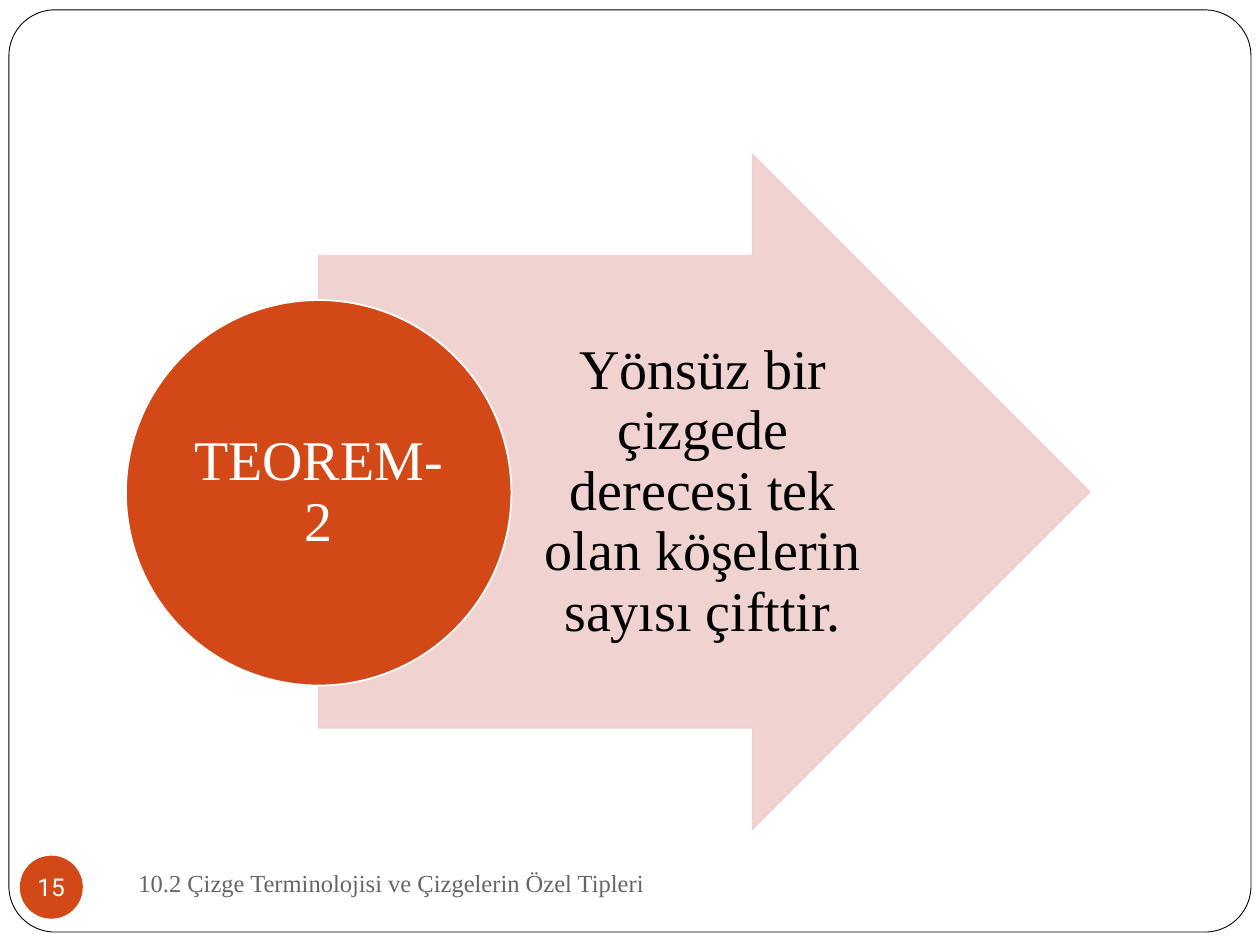
from lxml.etree import SubElement
from pptx import Presentation
from pptx.dml.color import RGBColor
from pptx.enum.shapes import MSO_SHAPE
from pptx.enum.text import MSO_ANCHOR, PP_ALIGN
from pptx.oxml.ns import qn
from pptx.util import Cm, Pt

SERIF = "Times New Roman"
ORANGE = "D34817"
PINK = "EFCFCC"
WHITE = "FFFFFF"
BLACK = "000000"


def color(hex_value):
    return RGBColor.from_string(hex_value)


def set_opacity(color_format_owner, percent):
    """Add an alpha value to the solid colour of a shape's fill or line."""
    for srgb in color_format_owner.iter(qn("a:srgbClr")):
        SubElement(srgb, qn("a:alpha"), val=str(percent * 1000))


def add_figure(slide, preset, box, fill, line=None, line_width=1, adjustments=()):
    figure = slide.shapes.add_shape(preset, *map(Cm, box))
    figure.shadow.inherit = False
    for index, value in enumerate(adjustments):
        figure.adjustments[index] = value
    figure.fill.solid()
    figure.fill.fore_color.rgb = color(fill)
    if line:
        figure.line.color.rgb = color(line)
        figure.line.width = Pt(line_width)
    else:
        figure.line.fill.background()
    return figure


def write(shape, text, size, text_color, font=SERIF, align=PP_ALIGN.CENTER,
          margins=None, wrap=True, line_spacing=None):
    """Set middle-anchored text; margins are left, top, right, bottom in cm."""
    frame = shape.text_frame
    frame.text = text
    frame.word_wrap = wrap
    frame.vertical_anchor = MSO_ANCHOR.MIDDLE
    if margins:
        (frame.margin_left, frame.margin_top,
         frame.margin_right, frame.margin_bottom) = map(Cm, margins)
    paragraph = frame.paragraphs[0]
    paragraph.alignment = align
    if line_spacing:
        paragraph.line_spacing = line_spacing
    run_font = paragraph.runs[0].font
    run_font.name = font
    run_font.size = Pt(size)
    run_font.color.rgb = color(text_color)


def add_theorem(slide):
    arrow = add_figure(slide, MSO_SHAPE.RIGHT_ARROW, (6.43, 3.12, 15.54, 13.59),
                       PINK, PINK, adjustments=(0.7, 0.5))
    set_opacity(arrow.element.spPr, 90)

    statement = slide.shapes.add_textbox(*map(Cm, (10.31, 5.16, 7.59, 9.53)))
    write(statement, "Yönsüz bir çizgede derecesi tek olan köşelerin sayısı çifttir.",
          32, BLACK, margins=(0.23, 0.05, 0.1, 0.05), line_spacing=0.9)

    theorem = add_figure(slide, MSO_SHAPE.OVAL, (2.54, 6.05, 7.77, 7.77), ORANGE, WHITE)
    write(theorem, "TEOREM-2", 32, WHITE, margins=(0.05,) * 4, line_spacing=0.9)


def add_footer(slide):
    chapter = slide.shapes.add_textbox(*map(Cm, (2.54, 17.15, 11, 1.27)))
    write(chapter, "10.2 Çizge Terminolojisi ve Çizgelerin Özel Tipleri",
          14, "696464", align=PP_ALIGN.LEFT)

    page_number = add_figure(slide, MSO_SHAPE.OVAL, (0.4, 17.25, 1.27, 1.27), ORANGE)
    write(page_number, "15", 14, WHITE, font="Roboto", margins=(0,) * 4, wrap=False)


def main():
    presentation = Presentation()
    presentation.slide_width = Cm(25.4)
    presentation.slide_height = Cm(19.05)
    slide = presentation.slides.add_slide(presentation.slide_layouts[6])

    add_figure(slide, MSO_SHAPE.ROUNDED_RECTANGLE, (0.18, 0.2, 25.04, 18.59),
               WHITE, BLACK, 0.5, adjustments=(0.05,))
    add_footer(slide)
    add_theorem(slide)
    presentation.save("out.pptx")


if __name__ == "__main__":
    main()
